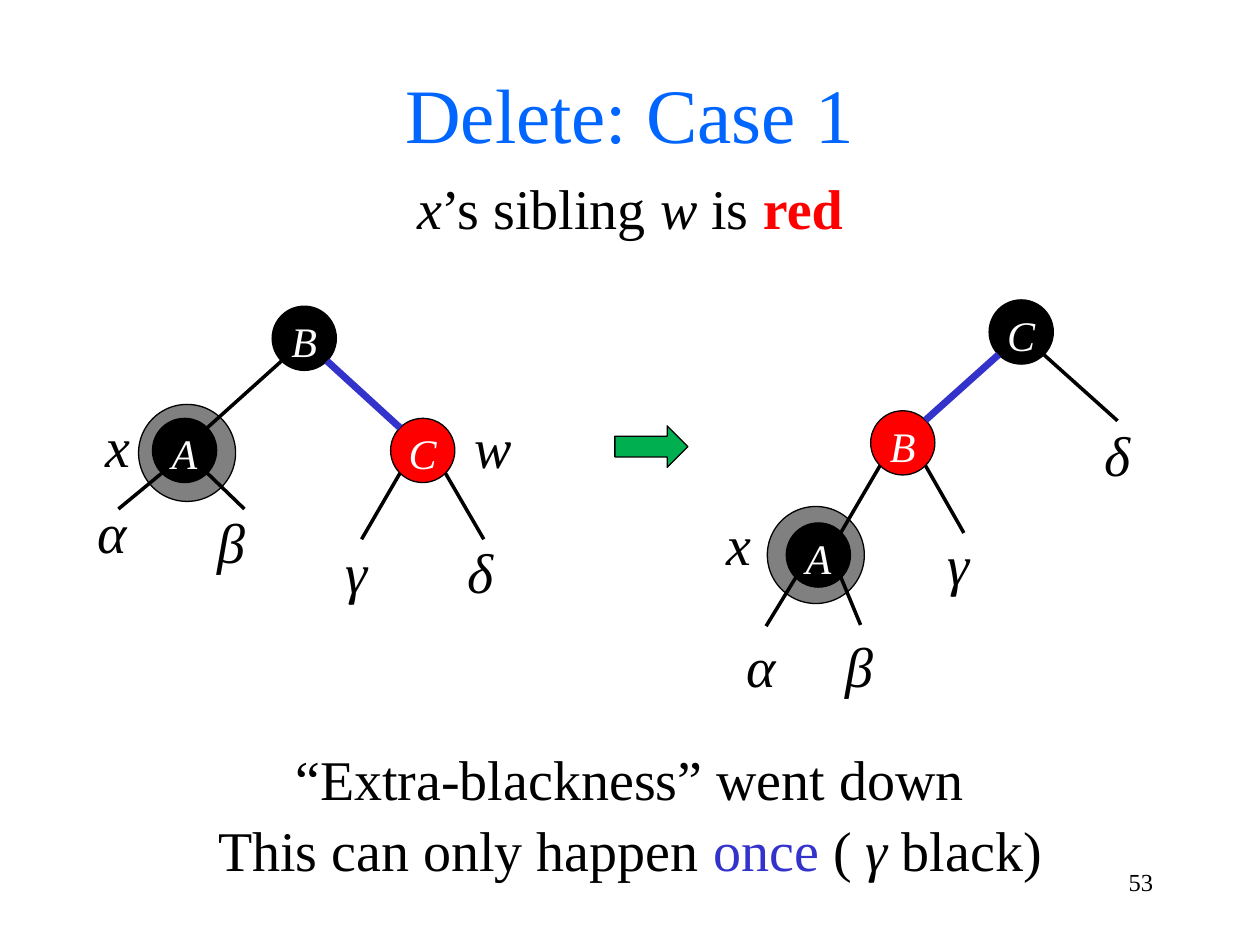
from dataclasses import dataclass

from lxml import etree
from pptx import Presentation
from pptx.dml.color import RGBColor
from pptx.enum.shapes import MSO_CONNECTOR, MSO_SHAPE
from pptx.enum.text import MSO_ANCHOR, MSO_AUTO_SIZE, PP_ALIGN
from pptx.oxml.ns import qn
from pptx.util import Inches, Pt

OVAL = MSO_SHAPE.OVAL
ARROW = MSO_SHAPE.RIGHT_ARROW
STRAIGHT = MSO_CONNECTOR.STRAIGHT
TOP, MIDDLE = MSO_ANCHOR.TOP, MSO_ANCHOR.MIDDLE
CENTER, RIGHT = PP_ALIGN.CENTER, PP_ALIGN.RIGHT
NO_FIT = MSO_AUTO_SIZE.NONE

FONT = "Times New Roman"
BLACK, WHITE, RED, GRAY = "000000", "FFFFFF", "FF0000", "808080"
BLUE, TITLE_BLUE, GREEN = "3333CC", "0066FF", "00B050"
NODE, HALO, PORT = 0.51, 0.77, 0.18


@dataclass(frozen=True)
class Node:
    name: str
    left: float
    top: float
    fill: str = BLACK

    def port(self, dx: int, dy: int) -> tuple[float, float]:
        return (self.left + NODE / 2 + dx * PORT, self.top + NODE / 2 + dy * PORT)


@dataclass(frozen=True)
class Branch:
    parent: Node
    side: int
    end: Node | tuple[float, float]
    color: str = BLACK
    width: float = 2


@dataclass(frozen=True)
class Label:
    text: str
    left: float
    top: float


@dataclass(frozen=True)
class Tree:
    halo: tuple[float, float]
    nodes: list[Node]
    branches: list[Branch]
    pointers: list[Label]
    subtrees: list[Label]


def rgb(color: str) -> RGBColor:
    return RGBColor.from_string(color)


def add_run(p, text: str, size: float = 32, color: str = BLACK,
            italic: bool = False, bold: bool = False) -> None:
    r = p.add_run()
    r.text = text
    r.font.name = FONT
    r.font.size = Pt(size)
    r.font.color.rgb = rgb(color)
    r.font.italic = italic
    r.font.bold = bold


def setup_frame(tf, anchor=TOP, inset: bool = True) -> None:
    tf.word_wrap = True
    tf.auto_size = NO_FIT
    tf.vertical_anchor = anchor
    if not inset:
        tf.margin_left = tf.margin_right = tf.margin_top = tf.margin_bottom = 0


def add_text(s, lines: list, left: float, top: float, width: float, height: float,
             align=CENTER, anchor=TOP, inset: bool = True) -> None:
    box = s.shapes.add_textbox(Inches(left), Inches(top), Inches(width), Inches(height))
    tf = box.text_frame
    setup_frame(tf, anchor, inset)
    for i, runs in enumerate(lines):
        p = tf.add_paragraph() if i else tf.paragraphs[0]
        p.alignment = align
        if i:
            p.space_before = Pt(2)
        for text, style in runs:
            add_run(p, text, **style)


def add_figure(s, kind, left: float, top: float, width: float, height: float, fill: str):
    sp = s.shapes.add_shape(kind, Inches(left), Inches(top), Inches(width), Inches(height))
    sp.shadow.inherit = False
    sp.fill.solid()
    sp.fill.fore_color.rgb = rgb(fill)
    sp.line.color.rgb = rgb(BLACK)
    sp.line.width = Pt(0.75)
    return sp


def draw_node(s, node: Node) -> None:
    sp = add_figure(s, OVAL, node.left, node.top, NODE, NODE, node.fill)
    tf = sp.text_frame
    setup_frame(tf, inset=False)
    tf.paragraphs[0].alignment = CENTER
    add_run(tf.paragraphs[0], node.name, size=24, color=WHITE, italic=True)


def draw_branch(s, branch: Branch) -> None:
    end = branch.end
    if isinstance(end, Node):
        end = end.port(-branch.side, -1)
    start = branch.parent.port(branch.side, 1)
    line = s.shapes.add_connector(STRAIGHT, *(Inches(v) for v in (*start, *end)))
    line.line.color.rgb = rgb(branch.color)
    line.line.width = Pt(branch.width)
    etree.SubElement(line._element.spPr, qn("a:effectLst"))


def draw_tree(s, tree: Tree) -> None:
    add_figure(s, OVAL, *tree.halo, HALO, HALO, GRAY)
    for node in tree.nodes:
        draw_node(s, node)
    for branch in tree.branches:
        draw_branch(s, branch)
    for label in tree.pointers:
        add_text(s, [[(label.text, {"italic": True})]], label.left, label.top,
                 0.45, 0.54, anchor=MIDDLE, inset=False)
    for label in tree.subtrees:
        add_text(s, [[(label.text, {"italic": True})]], label.left, label.top, 0.64, 0.64)


def before_tree() -> Tree:
    a, b, c = Node("A", 1.21, 3.32), Node("B", 2.16, 2.43), Node("C", 3.1, 3.32, RED)
    return Tree(
        (1.1, 3.21), [b, a, c],
        [Branch(b, -1, a), Branch(b, 1, c, BLUE, 4),
         Branch(a, -1, (0.94, 4.04)), Branch(a, 1, (1.94, 4.04)),
         Branch(c, -1, (2.87, 4.28)), Branch(c, 1, (3.84, 4.28))],
        [Label("x", 0.71, 3.26), Label("w", 3.69, 3.27)],
        [Label("α", 0.57, 3.9), Label("β", 1.52, 3.98),
         Label("γ", 2.51, 4.22), Label("δ", 3.49, 4.22)])


def after_tree() -> Tree:
    a, b, c = Node("A", 6.24, 4.15), Node("B", 6.91, 3.26, RED), Node("C", 7.85, 2.38)
    return Tree(
        (6.09, 4.02), [c, b, a],
        [Branch(c, -1, b, BLUE, 4), Branch(c, 1, (8.87, 3.34)),
         Branch(b, -1, a), Branch(b, 1, (7.65, 4.23)),
         Branch(a, -1, (6.08, 4.97)), Branch(a, 1, (6.83, 4.96))],
        [Label("x", 5.64, 4.04)],
        [Label("α", 5.72, 4.96), Label("β", 6.5, 4.96),
         Label("γ", 7.29, 4.15), Label("δ", 8.55, 3.29)])


def main() -> None:
    prs = Presentation()
    prs.slide_width, prs.slide_height = Inches(10), Inches(7.5)
    s = prs.slides.add_slide(prs.slide_layouts[5])

    title = s.shapes.title
    title.left, title.top = Inches(0), Inches(0.48)
    title.width, title.height = Inches(10), Inches(1.25)
    setup_frame(title.text_frame)
    p = title.text_frame.paragraphs[0]
    p.alignment = CENTER
    add_run(p, "Delete: Case 1", size=44, color=TITLE_BLUE)

    add_text(s, [[("x", {"italic": True}), ("’s sibling ", {}), ("w", {"italic": True}),
                  (" is ", {}), ("red", {"color": RED, "bold": True})]], 0, 1.33, 10, 0.64)
    draw_tree(s, before_tree())
    add_figure(s, ARROW, 4.88, 3.38, 0.58, 0.33, GREEN)
    draw_tree(s, after_tree())
    add_text(s, [[("“Extra-blackness” went down", {})],
                 [("This can only happen ", {}), ("once ", {"color": BLUE}), ("( ", {}),
                  ("γ", {"italic": True}), (" black)", {})]], 0, 5.86, 10, 1.18)
    add_text(s, [[("53", {"size": 14})]], 7.17, 6.83, 2.08, 0.5, align=RIGHT)
    prs.save("out.pptx")


if __name__ == "__main__":
    main()
